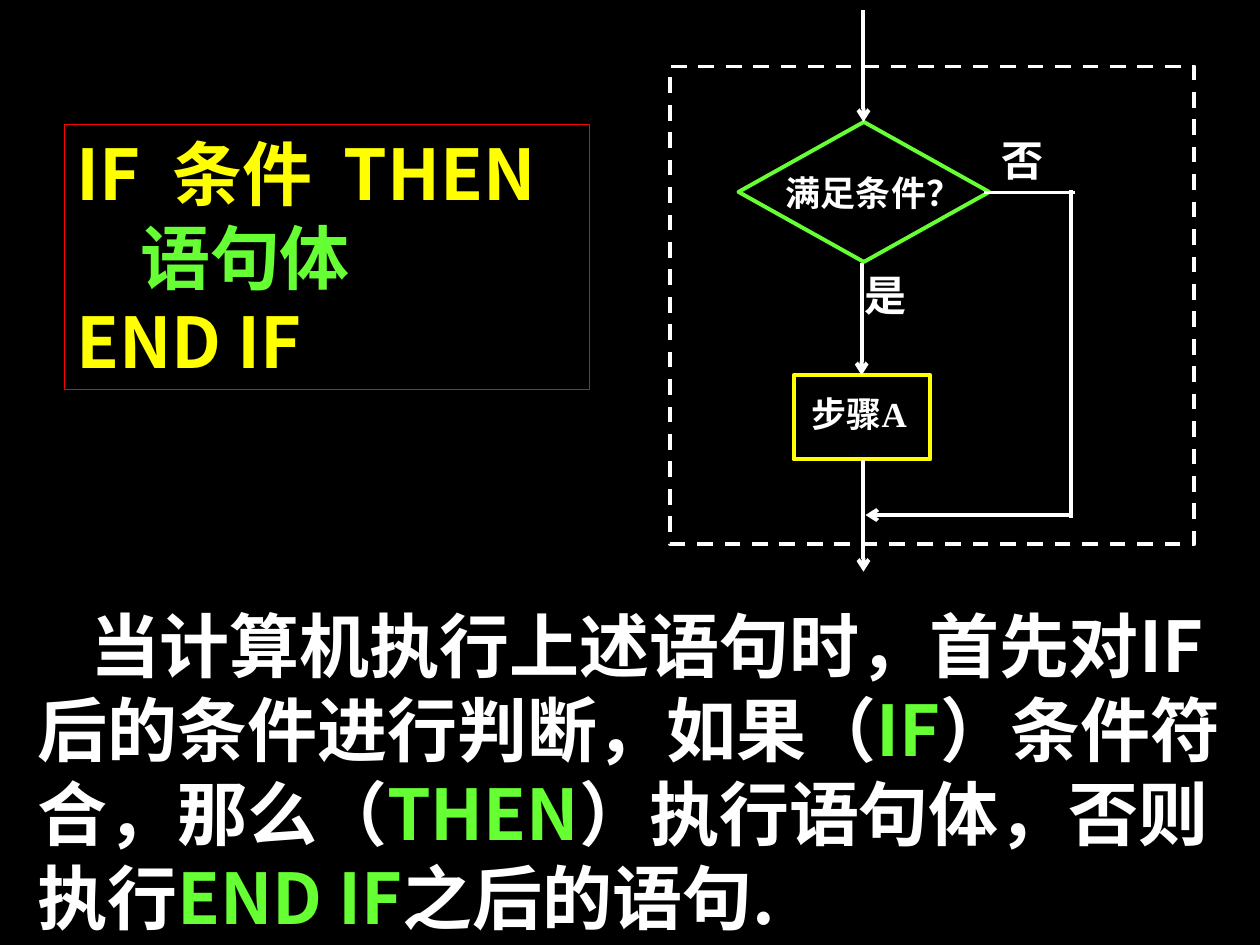
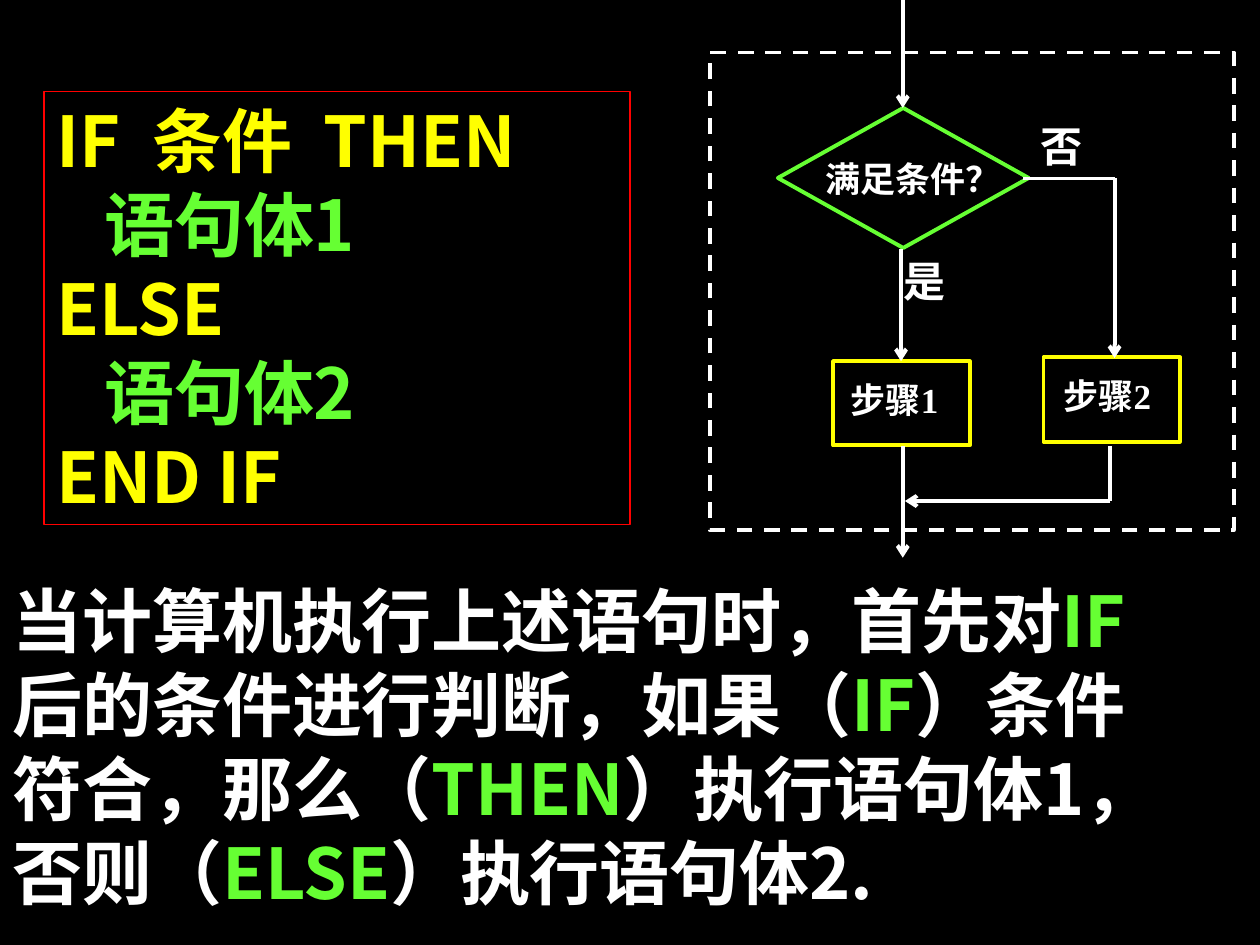
"""Build two slides on the IF statement: code, flowchart and explanation."""
from lxml import etree
from pptx import Presentation
from pptx.dml.color import RGBColor
from pptx.enum.dml import MSO_LINE
from pptx.enum.lang import MSO_LANGUAGE_ID
from pptx.enum.shapes import MSO_CONNECTOR, MSO_SHAPE
from pptx.enum.text import MSO_AUTO_SIZE, PP_ALIGN
from pptx.oxml.ns import qn
from pptx.util import Pt

RECT, DIAMOND = MSO_SHAPE.RECTANGLE, MSO_SHAPE.DIAMOND
STRAIGHT, DASH = MSO_CONNECTOR.STRAIGHT, MSO_LINE.DASH
LEFT, JUSTIFY = PP_ALIGN.LEFT, PP_ALIGN.JUSTIFY
GROW, FIXED = MSO_AUTO_SIZE.SHAPE_TO_FIT_TEXT, MSO_AUTO_SIZE.NONE
CHINESE = MSO_LANGUAGE_ID.SIMPLIFIED_CHINESE
BLACK, WHITE, RED, YELLOW, GREEN = "000000", "FFFFFF", "FF0000", "FFFF00", "66FF33"
SANS, SERIF = "Noto Sans CJK SC", "Times New Roman"
LARGE = {"size": Pt(40), "name": SANS, "bold": True, "language_id": CHINESE}
LABEL = {"size": Pt(20), "name": SERIF, "bold": True, "language_id": CHINESE}
BRANCH = {**LABEL, "size": Pt(24)}


def rgb(value):
    """Turn a hex string into a colour."""
    return RGBColor.from_string(value)


def add_text(s, box, paragraphs, fmt, align=LEFT, auto_size=FIXED):
    """Add a text box from paragraphs of (text, colour) runs."""
    sp = s.shapes.add_textbox(*map(Pt, box))
    tf = sp.text_frame
    tf.word_wrap = True
    tf.auto_size = auto_size
    for i, runs in enumerate(paragraphs):
        p = tf.add_paragraph() if i else tf.paragraphs[0]
        p.alignment = align
        for text, color in runs:
            r = p.add_run()
            r.text = text
            for name, value in fmt.items():
                setattr(r.font, name, value)
            r.font.color.rgb = rgb(color)
            etree.SubElement(r.font._element, qn("a:ea"), typeface=SANS)
    return sp


frame_shapes = [
    (RECT, (0, 0, 299.5, 273), WHITE),
    (DIAMOND, (39, 31.7, 143.3, 80), GREEN),
    (RECT, (70.6, 176.4, 78, 48.2), YELLOW),
]
frame_labels = [
    ("满足条件？", (59, 56.2, 136, 48), LABEL),
    ("是", (103.7, 112.3, 39, 48), BRANCH),
    ("否", (182.2, 35.3, 39, 48), BRANCH),
]
frame_lines = [
    ((110.4, -32.4, 110.4, 31.7), True),
    ((109.4, 112.3, 109.4, 176.4), True),
    ((110.4, 224.6, 110.4, 288.7), True),
    ((229, 256.3, 111.6, 256.3), True),
    ((231.4, 72, 179.3, 72), False),
]
step_box = (73.6, 182.9, 78, 48.2)

slides = [
    {
        "origin": (383, 38),
        "code_box": (36.7, 71.3, 300.2, 151.2),
        "code": [
            [("IF  条件  THEN", YELLOW)],
            [("    语句体", GREEN)],
            [("END IF", YELLOW)],
        ],
        "shapes": [],
        "labels": [("步骤A", step_box, LABEL)],
        "lines": [((229, 70.6, 229, 257.8), False)],
        "note_box": (14.4, 340.6, 705.6, 199.4),
        "indent": 30,
        "note": [[
            ("当计算机执行上述语句时，首先对IF后的条件进行判断，如果（", WHITE),
            ("IF", GREEN),
            ("）条件符合，那么（", WHITE),
            ("THEN", GREEN),
            ("）执行语句体，否则执行", WHITE),
            ("END IF", GREEN),
            ("之后的语句.", WHITE),
        ]],
    },
    {
        "origin": (405.5, 30),
        "code_box": (25.2, 52.4, 334.8, 247.5),
        "code": [
            [("IF  条件  THEN", YELLOW)],
            [("   语句体1", GREEN)],
            [("ELSE", YELLOW)],
            [("   语句体2", GREEN)],
            [("END IF", YELLOW)],
        ],
        "shapes": [(RECT, (190.8, 174.2, 78, 48.2), YELLOW)],
        "labels": [
            ("步骤1", step_box, LABEL),
            ("步骤2", (195.1, 180.7, 78, 48.2), LABEL),
        ],
        "lines": [
            ((231.4, 72, 231.4, 174.6), True),
            ((229, 256.3, 229, 224.6), False),
        ],
        "note_box": (0, 326.7, 720, 199.4),
        "indent": 0,
        "note": [
            [("当计算机执行上述语句时，首先对", WHITE), ("IF", GREEN)],
            [("后的条件进行判断，如果（", WHITE), ("IF", GREEN), ("）条件", WHITE)],
            [("符合，那么（", WHITE), ("THEN", GREEN), ("）执行语句体1，", WHITE)],
            [("否则（", WHITE), ("ELSE", GREEN), ("）执行语句体2.", WHITE)],
        ],
    },
]

prs = Presentation()
prs.slide_width, prs.slide_height = Pt(720), Pt(540)
background = prs.slide_master.background.fill
background.solid()
background.fore_color.rgb = rgb(BLACK)

for data in slides:
    s = prs.slides.add_slide(prs.slide_layouts[6])
    x0, y0 = data["origin"]

    for kind, (x, y, w, h), color in frame_shapes + data["shapes"]:
        sp = s.shapes.add_shape(kind, Pt(x0 + x), Pt(y0 + y), Pt(w), Pt(h))
        sp.shadow.inherit = False
        sp.fill.background()
        sp.line.color.rgb = rgb(color)
        sp.line.width = Pt(2.25)
        if color == WHITE:
            sp.line.dash_style = DASH

    for (x1, y1, x2, y2), arrow in frame_lines + data["lines"]:
        line = s.shapes.add_connector(
            STRAIGHT, Pt(x0 + x1), Pt(y0 + y1), Pt(x0 + x2), Pt(y0 + y2))
        line.line.color.rgb = rgb(WHITE)
        line.line.width = Pt(2.25)
        if arrow:
            etree.SubElement(line.line._get_or_add_ln(), qn("a:tailEnd"), type="arrow")
        etree.SubElement(line._element.spPr, qn("a:effectLst"))

    for text, (x, y, w, h), fmt in frame_labels + data["labels"]:
        add_text(s, (x0 + x, y0 + y, w, h), [[(text, WHITE)]], fmt, JUSTIFY)

    code = add_text(s, data["code_box"], data["code"], LARGE, auto_size=GROW)
    code.line.color.rgb = rgb(RED)
    code.line.width = Pt(0.75)

    note = add_text(s, data["note_box"], data["note"], LARGE, auto_size=GROW)
    if data["indent"]:
        pPr = note.text_frame.paragraphs[0]._p.get_or_add_pPr()
        pPr.set("indent", str(Pt(data["indent"])))

prs.save("out.pptx")
